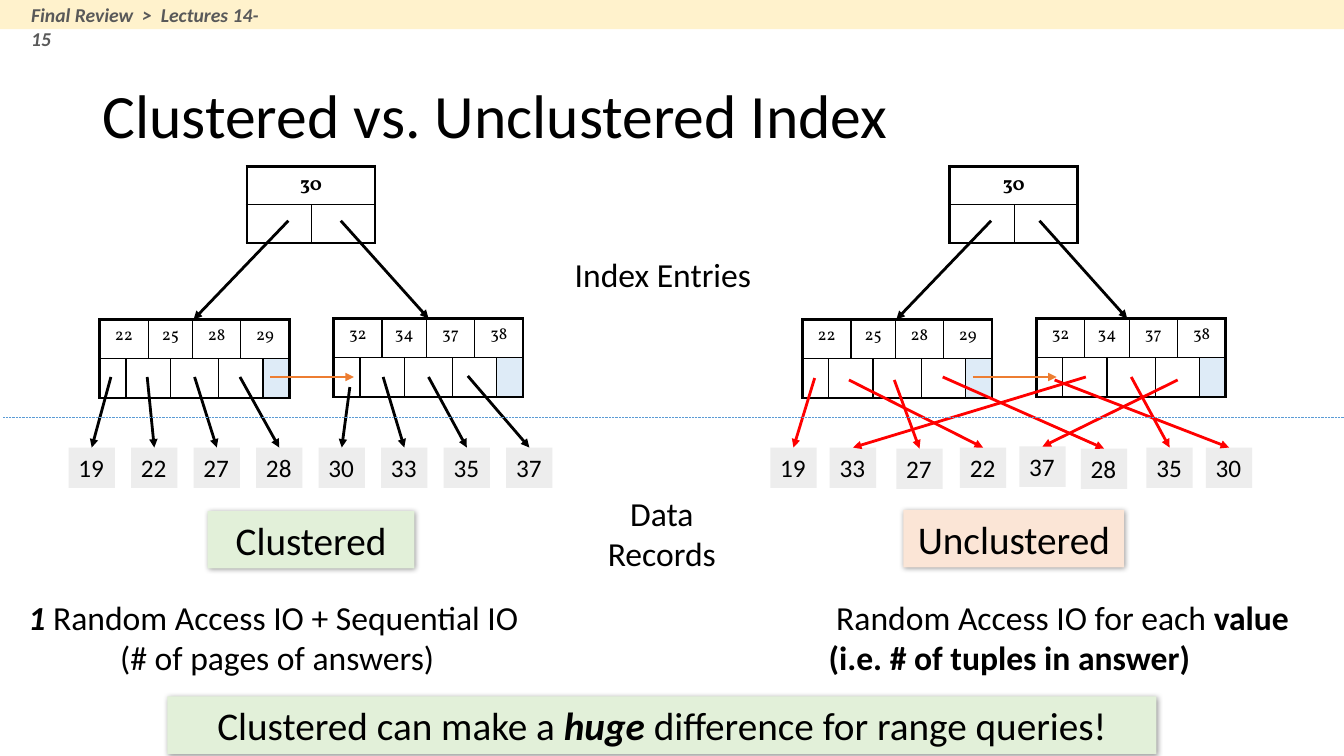
from dataclasses import dataclass

from lxml import etree
from pptx import Presentation
from pptx.dml.color import RGBColor
from pptx.enum.dml import MSO_LINE
from pptx.enum.shapes import MSO_CONNECTOR, MSO_SHAPE
from pptx.enum.text import MSO_ANCHOR, PP_ALIGN
from pptx.oxml import parse_xml
from pptx.oxml.ns import nsdecls, qn
from pptx.util import Pt

PX = 9144  # 100 px to the inch
STRAIGHT = MSO_CONNECTOR.STRAIGHT
RECT = MSO_SHAPE.RECTANGLE
LEFT, CENTER = PP_ALIGN.LEFT, PP_ALIGN.CENTER
TOP, MIDDLE = MSO_ANCHOR.TOP, MSO_ANCHOR.MIDDLE
DOTS = MSO_LINE.ROUND_DOT
COLORS = {
    "ink": "000000", "red": "FF0000", "orange": "ED7D31", "blue": "5B9BD5",
    "sky": "DEEBF7", "grey": "EDEDED", "green": "E2F0D9", "peach": "FBE5D6",
    "cream": "FFF2CC", "slate": "595959",
}
LEAF_COLS = [26, 22, 22, 22, 26, 22, 22, 26]
ROOT_COLS = [64, 63]


@dataclass
class Record:
    key: str
    left: int
    top: int
    start: tuple[int, int]


@dataclass
class Tree:
    shift: int
    branch: int
    color: str
    records: list[Record]


@dataclass
class Label:
    """Text of one box: paragraphs made of (words, style), style holding b and i."""
    box: tuple[int, int, int, int]
    paras: list[list[tuple[str, str]]]
    size: int
    align: PP_ALIGN = CENTER
    fill: str = ""
    color: str = "ink"
    anchor: MSO_ANCHOR = TOP
    wrap: bool = True
    shadow: bool = False


def rgb(name: str) -> RGBColor:
    return RGBColor.from_string(COLORS[name])


def style_font(font, size: int, color: str = "ink", face: str = "Calibri") -> None:
    font.name, font.size = face, Pt(size)
    font.color.rgb = rgb(color)


def add_rect(slide, box: tuple, fill: str):
    rect = slide.shapes.add_shape(RECT, *(v * PX for v in box))
    rect.shadow.inherit = False
    rect.fill.solid()
    rect.fill.fore_color.rgb = rgb(fill)
    rect.line.fill.background()
    return rect


def add_shadow(shape) -> None:
    effects = shape._element.spPr.find(qn("a:effectLst"))
    effects.append(parse_xml(
        f'<a:outerShdw {nsdecls("a")} blurRad="50800" dist="12700" dir="2700000" '
        'algn="tl" rotWithShape="0"><a:srgbClr val="000000">'
        '<a:alpha val="40000"/></a:srgbClr></a:outerShdw>'))


def add_label(slide, label: Label):
    if label.fill:
        shape = add_rect(slide, label.box, label.fill)
    else:
        shape = slide.shapes.add_textbox(*(v * PX for v in label.box))
    if label.shadow:
        add_shadow(shape)
    frame = shape.text_frame
    frame.word_wrap = label.wrap
    frame.vertical_anchor = label.anchor
    for i, runs in enumerate(label.paras):
        para = frame.add_paragraph() if i else frame.paragraphs[0]
        para.alignment = label.align
        style_font(para.font, label.size, label.color)
        same = len({style for _, style in runs}) == 1
        for words, style in runs:
            run = para.add_run()
            run.text = words
            font = para.font if same else run.font
            font.bold, font.italic = "b" in style, "i" in style
    return shape


def add_line(slide, start: tuple, end: tuple, color: str, width: float = 2,
             arrow: bool = True):
    line = slide.shapes.add_connector(STRAIGHT, *(v * PX for v in start + end))
    line.line.color.rgb = rgb(color)
    line.line.width = Pt(width)
    if arrow:
        etree.SubElement(line.line._get_or_add_ln(), qn("a:tailEnd"), type="triangle")
    etree.SubElement(line._element.spPr, qn("a:effectLst"))
    return line


def set_borders(cell, heavy: str) -> None:
    """Draw all four sides, those named in heavy (of LRTB) thicker."""
    props = cell._tc.get_or_add_tcPr()
    for i, side in enumerate("LRTB"):
        width = Pt(2.25 if side in heavy else 1)
        props.insert(i, parse_xml(
            f'<a:ln{side} {nsdecls("a")} w="{width}"><a:solidFill>'
            f'<a:srgbClr val="{COLORS["ink"]}"/></a:solidFill></a:ln{side}>'))


def add_node(slide, left: int, top: int, cols: list[int], height: int,
             keys: list[str], slots: list[int], size: int) -> None:
    """Draw a tree node: keys above, pointer slots (column spans) below."""
    frame = slide.shapes.add_table(2, len(cols), left * PX, top * PX,
                                   sum(cols) * PX, 2 * height * PX)
    table = frame.table
    table.first_row = table.horz_banding = False
    for col, width in zip(table.columns, cols):
        col.width = width * PX
    for row in table.rows:
        row.height = height * PX
    leaf = len(keys) > 1
    for r, spans in enumerate([[2] * len(keys), slots]):
        first = 0
        for i, span in enumerate(spans):
            last = first + span - 1
            heavy = "BT"[r == 0] + "L" * (first == 0) + "R" * (last == len(cols) - 1)
            for c in range(first, last + 1):
                cell = table.cell(r, c)
                cell.margin_left = cell.margin_right = 0
                cell.margin_top = cell.margin_bottom = 0 if r else 5 * PX
                cell.fill.background()
                set_borders(cell, heavy)
            cell = table.cell(r, first)
            if span > 1:
                cell.merge(table.cell(r, last))
            if r == 0:
                para = cell.text_frame.paragraphs[0]
                para.text, para.alignment = keys[i], CENTER
                style_font(para.font, size, face="Vollkorn")
                para.font.bold = not leaf
            elif leaf and i == len(spans) - 1:
                cell.fill.solid()
                cell.fill.fore_color.rgb = rgb("sky")
            first = last + 1


def add_tree(slide, tree: Tree) -> None:
    dx = tree.shift
    add_node(slide, 245 + dx, 165, ROOT_COLS, 38, ["30"], [1, 1], 14)
    for left, top, keys in [(99, 317, "22 25 28 29"), (331, 316, "32 34 37 38")]:
        add_node(slide, left + dx, top, LEAF_COLS, 39, keys.split(), [1, 2, 2, 2, 1], 12)
    add_line(slide, (286 + dx, 219), (192 + dx, 317), "ink")
    add_line(slide, (tree.branch, 219), (tree.branch + 87, 316), "ink")
    for rec in tree.records:
        box = add_label(slide, Label((rec.left, rec.top, 46, 40), [[(rec.key, "")]], 18,
                                     LEFT, "grey", wrap=False))
        arrow = add_line(slide, rec.start, (rec.left + 23, rec.top), tree.color)
        arrow.end_connect(box, 0)
    add_line(slide, (268 + dx, 374), (351 + dx, 374), "orange")


STARTS = [(110, 374), (146, 374), (193, 374), (238, 374),
          (347, 384), (380, 374), (425, 374), (464, 373)]
SORTED = [Record(key, 68 + 62 * i, 444, STARTS[i])
          for i, key in enumerate("19 22 27 28 30 33 35 37".split())]
MIXED = [
    Record("19", 764, 444, (808, 375)), Record("22", 952, 444, (842, 377)),
    Record("27", 889, 445, (887, 377)), Record("28", 1072, 445, (935, 374)),
    Record("30", 1196, 444, (1046, 377)), Record("33", 823, 444, (1077, 374)),
    Record("35", 1137, 444, (1122, 374)), Record("37", 1011, 443, (1168, 377)),
]
TREES = [Tree(0, 338, "ink", SORTED), Tree(697, 1031, "red", MIXED)]
TITLE = Label((92, 40, 1150, 145), [[("Clustered vs. Unclustered Index", "")]], 44,
              LEFT, anchor=MIDDLE)
LABELS = [
    Label((206, 507, 205, 57), [[("Clustered", "")]], 28, fill="green", shadow=True),
    Label((896, 506, 219, 57), [[("Unclustered", "")]], 28, fill="peach", shadow=True),
    Label((559, 247, 197, 50), [[("Index Entries", "")]], 24),
    Label((558, 484, 197, 50), [[("Data Records", "")]], 24),
    Label((21, -2, 261, 34), [[("Final Review  >  Lectures 14-15", "bi")]], 14,
          LEFT, color="slate"),
    Label((16, 587, 518, 91), [[("1", "bi"), (" Random Access IO + Sequential IO ", "")],
                               [("(# of pages of answers)", "")]], 24),
    Label((812, 587, 482, 91), [[(" Random Access IO for each ", ""),
                                 ("value (i.e. # of tuples in answer)", "b")]], 24, LEFT),
    Label((166, 691, 981, 57), [[("Clustered can make a ", ""), ("huge", "bi"),
                                 (" difference for range queries!", "")]], 28,
          fill="green", shadow=True),
]


def main() -> None:
    deck = Presentation()
    deck.slide_width, deck.slide_height = 1333 * PX, 750 * PX
    slide = deck.slides.add_slide(deck.slide_layouts[6])
    add_label(slide, TITLE)
    for tree in TREES:
        add_tree(slide, tree)
    rule = add_line(slide, (3, 414), (1337, 414), "blue", 0.5, arrow=False)
    rule.line.dash_style = DOTS
    add_rect(slide, (0, 0, 1333, 29), "cream")
    for label in LABELS:
        add_label(slide, label)
    deck.save("out.pptx")


if __name__ == "__main__":
    main()
